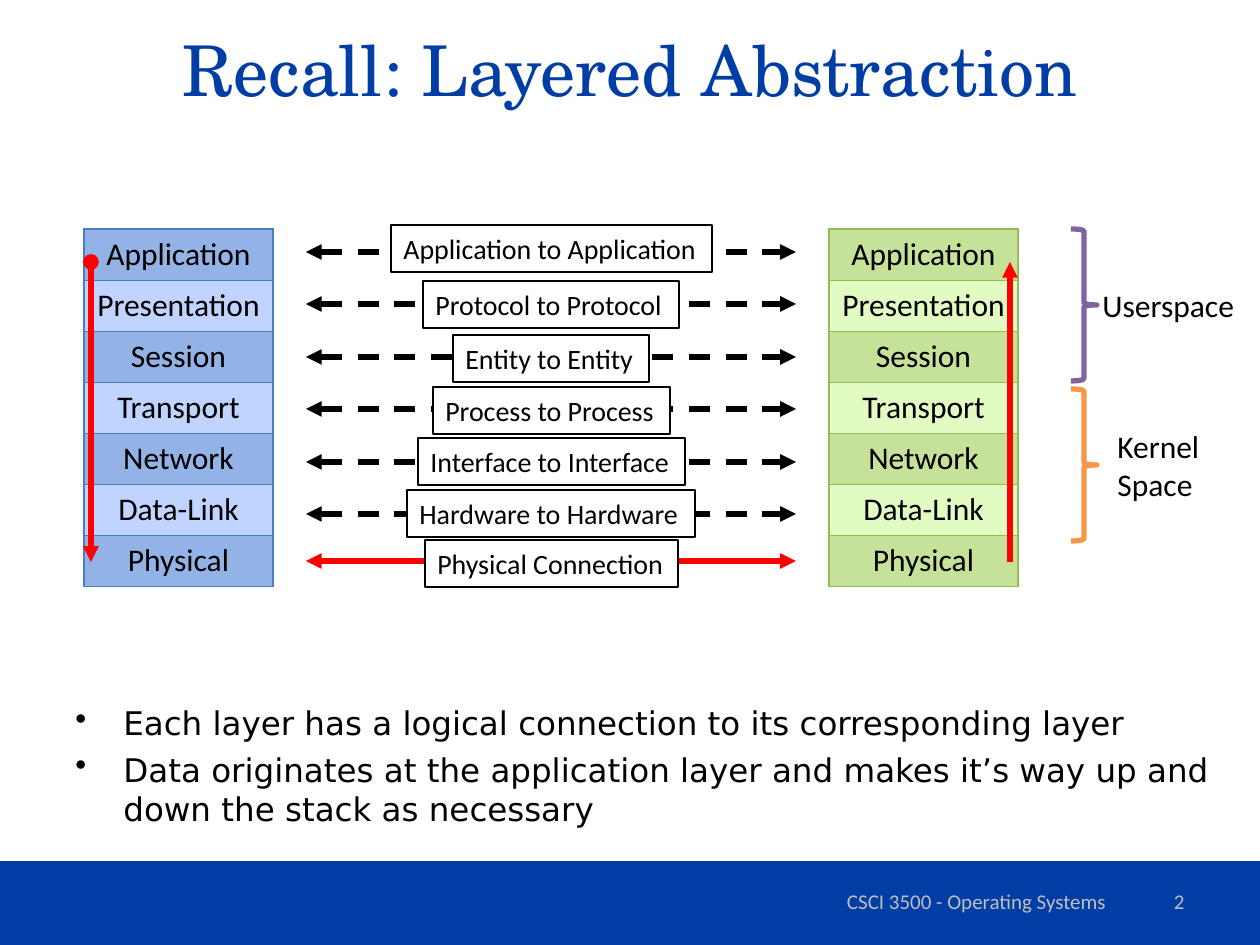
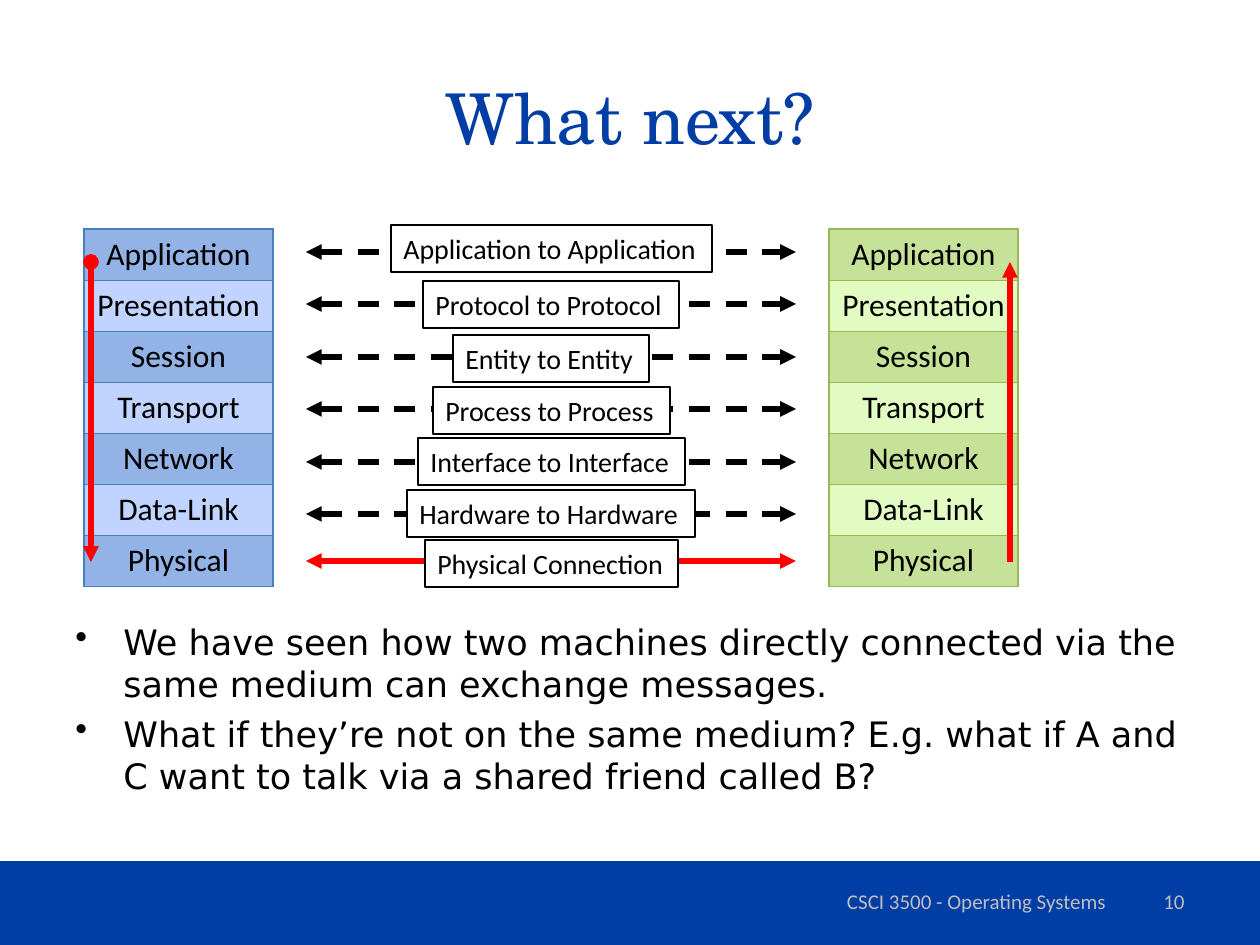
"""Build two slides on the layered network abstraction."""
from dataclasses import dataclass

from pptx import Presentation
from pptx.dml.color import RGBColor
from pptx.enum.dml import MSO_LINE
from pptx.enum.shapes import MSO_CONNECTOR, MSO_SHAPE
from pptx.enum.text import MSO_ANCHOR, MSO_AUTO_SIZE, PP_ALIGN
from pptx.oxml.ns import qn
from pptx.util import Emu, Pt

EMU_PER_INCH, PX_PER_INCH = 914400, 126
LEFT, CENTER, RIGHT = PP_ALIGN.LEFT, PP_ALIGN.CENTER, PP_ALIGN.RIGHT
TOP, MIDDLE = MSO_ANCHOR.TOP, MSO_ANCHOR.MIDDLE
STRAIGHT, DASH = MSO_CONNECTOR.STRAIGHT, MSO_LINE.DASH
RECT, BRACE = MSO_SHAPE.RECTANGLE, MSO_SHAPE.RIGHT_BRACE
TITLE_ONLY = 5

BLUE, BLACK, WHITE, RED, GREY = "003DA5", "000000", "FFFFFF", "FF0000", "BFBFBF"
SANS, BODY_FONT, TITLE_FONT = "Calibri", "DejaVu Sans", "TeX Gyre Schola"

LAYERS = ["Application", "Presentation", "Session", "Transport",
          "Network", "Data-Link", "Physical"]
STACK_TOP, STACK_WIDTH, ROW_HEIGHT = 229, 189, 51
LINK_LEFT, LINK_RIGHT, LINK_TOP, PHYSICAL_Y = 306, 796, 252, 561
LABEL_CENTER, LABEL_HEIGHT = 551, 47


@dataclass(frozen=True)
class Style:
    """Look of a run and its paragraph."""
    size: float
    color: str = BLACK
    font: str = SANS
    align: PP_ALIGN = LEFT


@dataclass(frozen=True)
class Box:
    """Place and size in px."""
    left: int
    top: int
    width: int
    height: int

    def emu(self) -> tuple:
        """Return the four lengths in EMU."""
        return tuple(px(n) for n in (self.left, self.top, self.width, self.height))


@dataclass(frozen=True)
class Stack:
    """Protocol stack of one machine."""
    left: int
    dark: str
    light: str
    border: str


@dataclass(frozen=True)
class Label:
    """Name of the link between two equal layers."""
    text: str
    top: int
    width: int


@dataclass(frozen=True)
class Arrow:
    """Line with optional ends."""
    x1: int
    y1: int
    x2: int
    y2: int
    color: str = RED
    head: str = "triangle"
    dashed: bool = False


@dataclass(frozen=True)
class Space:
    """Brace with a caption for a group of layers."""
    top: int
    color: str
    caption: str
    box: Box


STACKS = [Stack(84, "93B2E5", "C0D4FF", "4B7EBC"),
          Stack(829, "C6E198", "E2FBC2", "98B955")]
LABELS = [
    Label("Application to Application", 225, 321),
    Label("Protocol to Protocol", 281, 256),
    Label("Entity to Entity", 335, 196),
    Label("Process to Process", 387, 237),
    Label("Interface to Interface", 438, 267),
    Label("Hardware to Hardware", 490, 288),
    Label("Physical Connection", 540, 253),
]
LINKS = [Arrow(LINK_LEFT, y, LINK_RIGHT, y, BLACK, dashed=True)
         for y in (LINK_TOP + 105 * i // 2 for i in range(len(LAYERS) - 1))]
ARROWS = LINKS + [
    Arrow(LINK_LEFT, PHYSICAL_Y, LINK_RIGHT, PHYSICAL_Y),
    Arrow(91, 262, 91, 562, head="oval"),
    Arrow(1010, 562, 1010, 262, head="none"),
]
SPACES = [Space(229, "8064A2", "Userspace", Box(1090, 280, 159, 50)),
          Space(389, "F79646", "Kernel\nSpace", Box(1105, 421, 108, 89))]


def px(n: int) -> Emu:
    """Turn px into EMU."""
    return Emu(round(n * EMU_PER_INCH / PX_PER_INCH))


def rgb(color: str) -> RGBColor:
    """Turn a hex string into a colour."""
    return RGBColor.from_string(color)


def write(p, text: str, style: Style) -> None:
    """Fill a paragraph, breaking the line at each newline."""
    p.alignment = style.align
    for i, line in enumerate(text.split("\n")):
        if i:
            p.add_line_break()
        r = p.add_run()
        r.text = line
        r.font.size, r.font.name = Pt(style.size), style.font
        r.font.color.rgb = rgb(style.color)


def add_text(slide, box: Box, text: str, style: Style,
             anchor: MSO_ANCHOR = TOP, fit: bool = False):
    """Add a text box that either wraps or fits its text."""
    sp = slide.shapes.add_textbox(*box.emu())
    tf = sp.text_frame
    tf.word_wrap, tf.vertical_anchor = not fit, anchor
    tf.auto_size = MSO_AUTO_SIZE.SHAPE_TO_FIT_TEXT if fit else MSO_AUTO_SIZE.NONE
    write(tf.paragraphs[0], text, style)
    return sp


def add_bullets(slide, box: Box, items: list[str], size: float) -> None:
    """Add a bulleted list."""
    style = Style(size, font=BODY_FONT)
    tf = slide.shapes.add_textbox(*box.emu()).text_frame
    tf.word_wrap = True
    for i, item in enumerate(items):
        p = tf.add_paragraph() if i else tf.paragraphs[0]
        write(p, item, style)
        p.space_after = Pt(round(size * 0.23, 1))
        pPr = p._p.get_or_add_pPr()
        pPr.set("marL", str(px(48)))
        pPr.set("indent", str(-px(48)))
        pPr.makeelement(qn("a:buChar"), {})
        bullet = pPr.makeelement(qn("a:buChar"), {"char": "•"})
        pPr.append(bullet)


def add_arrow(slide, arrow: Arrow) -> None:
    """Add a line with its two ends."""
    ends = (arrow.x1, arrow.y1, arrow.x2, arrow.y2)
    cxn = slide.shapes.add_connector(STRAIGHT, *map(px, ends))
    cxn.line.color.rgb, cxn.line.width = rgb(arrow.color), Pt(3)
    if arrow.dashed:
        cxn.line.dash_style = DASH
    spPr = cxn._element.spPr
    ln = spPr.find(qn("a:ln"))
    for tag, kind in (("a:headEnd", arrow.head), ("a:tailEnd", "triangle")):
        ln.append(ln.makeelement(qn(tag), {"type": kind}))
    spPr.append(spPr.makeelement(qn("a:effectLst"), {}))


def set_borders(cell, color: str) -> None:
    """Draw a thin line on all sides of a cell."""
    tcPr = cell._tc.get_or_add_tcPr()
    for side in "LRTB":
        ln = tcPr.makeelement(qn(f"a:ln{side}"), {"w": str(Pt(0.75))})
        fill = ln.makeelement(qn("a:solidFill"), {})
        fill.append(fill.makeelement(qn("a:srgbClr"), {"val": color}))
        ln.append(fill)
        tcPr.append(ln)


def add_stack(slide, stack: Stack) -> None:
    """Add a table of the layers in alternating shades."""
    box = Box(stack.left, STACK_TOP, STACK_WIDTH, ROW_HEIGHT * len(LAYERS))
    table = slide.shapes.add_table(len(LAYERS), 1, *box.emu()).table
    table.first_row = table.horz_banding = False
    for i, layer in enumerate(LAYERS):
        table.rows[i].height = px(ROW_HEIGHT)
        cell = table.cell(i, 0)
        set_borders(cell, stack.border)
        cell.fill.solid()
        cell.fill.fore_color.rgb = rgb(stack.light if i % 2 else stack.dark)
        write(cell.text_frame.paragraphs[0], layer, Style(18, align=CENTER))


def add_label(slide, label: Label) -> None:
    """Add a framed label centred on the links."""
    left = LABEL_CENTER - label.width // 2
    box = Box(left, label.top, label.width, LABEL_HEIGHT)
    sp = add_text(slide, box, label.text, Style(16), fit=True)
    sp.fill.solid()
    sp.fill.fore_color.rgb = rgb(WHITE)
    sp.line.color.rgb, sp.line.width = rgb(BLACK), Pt(0.75)


def add_diagram(slide) -> None:
    """Add both stacks and the links between them."""
    for stack in STACKS:
        add_stack(slide, stack)
    for arrow in ARROWS:
        add_arrow(slide, arrow)
    for label in LABELS:
        add_label(slide, label)


def add_space(slide, space: Space) -> None:
    """Add a brace and its caption."""
    sp = slide.shapes.add_shape(BRACE, *Box(1071, space.top, 26, 152).emu())
    sp.shadow.inherit = False
    sp.fill.background()
    sp.line.color.rgb, sp.line.width = rgb(space.color), Pt(3)
    add_text(slide, space.box, space.caption, Style(18), fit=True)


def add_slide(prs, title: str, title_top: int, number: int):
    """Add a slide with title, band, footer and diagram."""
    slide = prs.slides.add_slide(prs.slide_layouts[TITLE_ONLY])
    band = slide.shapes.add_shape(RECT, *Box(0, 861, 1260, 84).emu())
    band.shadow.inherit = False
    band.fill.solid()
    band.fill.fore_color.rgb = rgb(BLUE)
    band.line.fill.background()
    sp = slide.shapes.title
    sp.left, sp.top, sp.width, sp.height = Box(63, title_top, 1134, 138).emu()
    sp.text_frame.vertical_anchor = MIDDLE
    write(sp.text_frame.paragraphs[0], title, Style(40, BLUE, TITLE_FONT, CENTER))
    add_text(slide, Box(777, 876, 399, 50), "CSCI 3500 - Operating Systems",
             Style(12, GREY, align=CENTER), MIDDLE)
    add_text(slide, Box(903, 876, 294, 50), str(number),
             Style(12, GREY, align=RIGHT), MIDDLE)
    add_diagram(slide)
    return slide


def main() -> None:
    """Build and save the presentation."""
    prs = Presentation()
    prs.slide_width, prs.slide_height = px(1260), px(945)

    slide = add_slide(prs, "Recall: Layered Abstraction", 0, 2)
    add_bullets(slide, Box(63, 697, 1160, 140), [
        "Each layer has a logical connection to its corresponding layer",
        "Data originates at the application layer and makes it’s way up and "
        "down the stack as necessary",
    ], 18.6)
    for space in SPACES:
        add_space(slide, space)

    slide = add_slide(prs, "What next?", 48, 10)
    add_bullets(slide, Box(63, 614, 1134, 200), [
        "We have seen how two machines directly connected via the same medium "
        "can exchange messages.",
        "What if they’re not on the same medium? E.g. what if A and C want to "
        "talk via a shared friend called B?",
    ], 20)
    prs.save("out.pptx")


if __name__ == "__main__":
    main()
